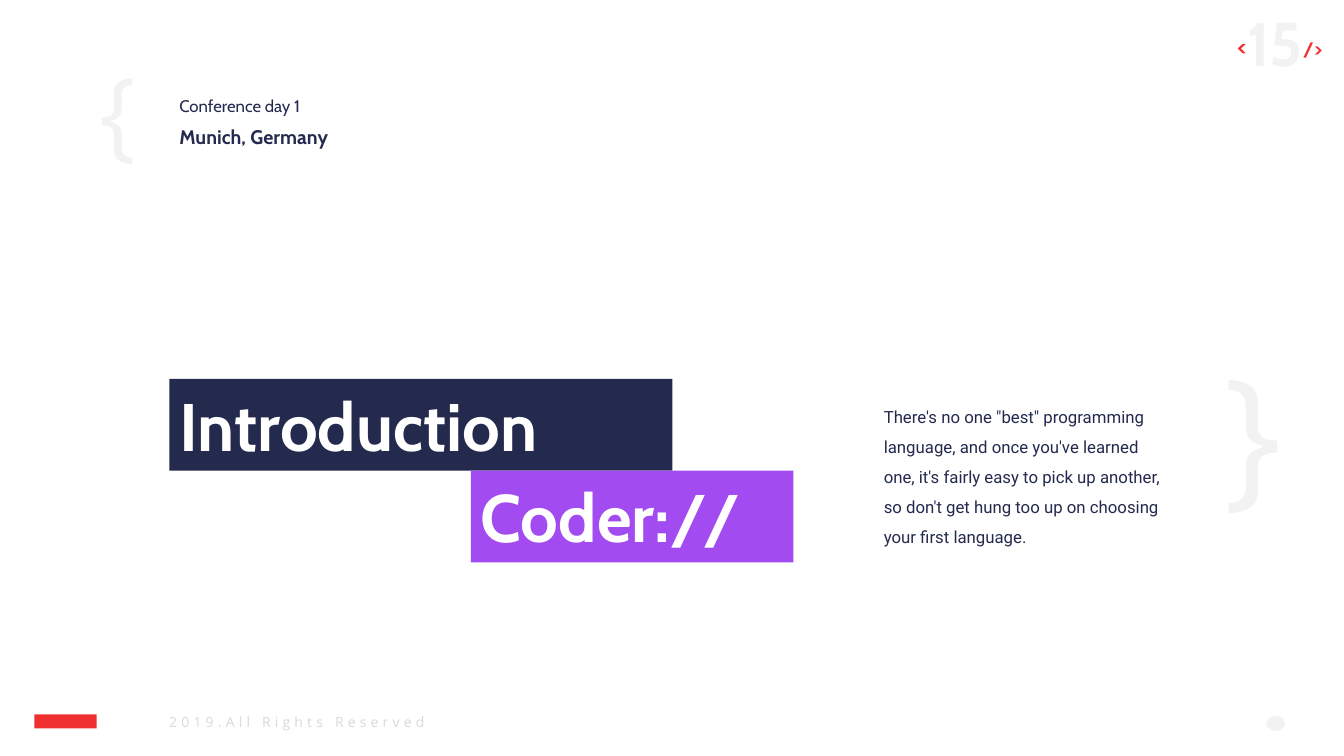
from dataclasses import dataclass

from pptx import Presentation
from pptx.dml.color import RGBColor
from pptx.enum import shapes, text
from pptx.util import Pt


@dataclass(frozen=True)
class Theme:
    navy: str = "232A4E"
    purple: str = "A24BF0"
    red: str = "F03030"
    white: str = "FFFFFF"
    pale: str = "F2F2F2"
    grey: str = "D9D9D9"
    heading: str = "Cabin"
    body: str = "Roboto"
    footer: str = "Open Sans"
    title_size: int = 48
    number_size: int = 44
    open_size: int = 28
    close_size: int = 24
    place_size: int = 14
    text_size: int = 12
    small_size: int = 10


THEME = Theme()

# Upper half of a right-hand brace on a 48 x 132 grid, as runs of
# straight points (2 numbers) and cubic curves (6 numbers)
BRACE_SIZE = (48, 132)
BRACE_HALF = [
    (48, 60), (41, 60, 37, 59, 34, 57), (31, 55, 29, 51, 29, 46),
    (29, 24), (29, 16, 27, 10, 22, 6), (16, 2, 9, 0, 0, 0),
    (0, 10), (11, 10, 17, 15, 17, 25), (17, 46), (17, 57, 23, 63, 34, 65),
]
CURVE_STEPS = 8


def brace_outline():
    """Flatten the upper half, then mirror it for the lower half."""
    points = []
    for segment in BRACE_HALF:
        if len(segment) == 2:
            points.append(segment)
            continue
        controls = [points[-1], segment[:2], segment[2:4], segment[4:]]
        for step in range(1, CURVE_STEPS + 1):
            t = step / CURVE_STEPS
            weights = ((1 - t) ** 3, 3 * t * (1 - t) ** 2,
                       3 * t ** 2 * (1 - t), t ** 3)
            points.append(tuple(sum(w * c[axis] for w, c in zip(weights, controls))
                                for axis in (0, 1)))
    return points + [(x, BRACE_SIZE[1] - y) for x, y in reversed(points)]


def paint(shape, color):
    shape.shadow.inherit = False
    shape.fill.solid()
    shape.fill.fore_color.rgb = RGBColor.from_string(color)
    shape.line.fill.background()


def write(shape, spans, align=text.PP_ALIGN.LEFT, spacing=1.0,
          anchor=text.MSO_ANCHOR.TOP, wrap=True):
    """Fill a shape with one paragraph of (words, format values) spans."""
    frame = shape.text_frame
    for name, value in {"auto_size": text.MSO_AUTO_SIZE.NONE, "word_wrap": wrap,
                        "vertical_anchor": anchor}.items():
        setattr(frame, name, value)
    para = frame.paragraphs[0]
    for name, value in {"alignment": align, "line_spacing": spacing,
                        "space_before": Pt(0)}.items():
        setattr(para, name, value)
    for words, look in spans:
        span = para.add_run()
        span.text = words
        values = {"name": look.get("font", THEME.heading), "size": Pt(look["size"]),
                  "bold": look.get("bold", False)}
        for name, value in values.items():
            setattr(span.font, name, value)
        span.font.color.rgb = RGBColor.from_string(look["color"])
        # Baseline shift and letter spacing live on the run properties
        for name in ("baseline", "spc"):
            if name in look:
                span.font._element.set(name, str(look[name]))


def add_text(page, box, spans, **layout):
    write(page.shapes.add_textbox(*map(Pt, box)), spans, **layout)


def add_block(page, kind, box, color):
    block = page.shapes.add_shape(kind, *map(Pt, box))
    paint(block, color)
    return block


def add_brace(page, box, mirrored=False):
    left, top, width, height = box
    corners = []
    for x, y in brace_outline():
        across = x / BRACE_SIZE[0]
        across = 1 - across if mirrored else across
        corners.append((Pt(left + across * width),
                        Pt(top + y / BRACE_SIZE[1] * height)))
    builder = page.shapes.build_freeform(*corners[0])
    builder.add_line_segments(corners[1:], close=True)
    paint(builder.convert_to_shape(), THEME.pale)


def add_page_number(page, box):
    tag = {"color": THEME.red, "bold": True, "baseline": 30000}
    number = {"size": THEME.number_size, "color": THEME.pale, "bold": True}
    add_text(page, box,
             [("<", {**tag, "size": THEME.open_size}), ("15", number),
              ("/>", {**tag, "size": THEME.close_size})],
             align=text.PP_ALIGN.RIGHT, anchor=text.MSO_ANCHOR.MIDDLE)


def add_event(page, box):
    left, top, width, height = box
    day_height = 21
    add_brace(page, (left - 48.2, top - 8.6, 21.8, 61), mirrored=True)
    day = {"size": THEME.text_size, "color": THEME.navy}
    place = {"size": THEME.place_size, "color": THEME.navy, "bold": True}
    add_text(page, (left, top, width, day_height), [("Conference day 1", day)])
    add_text(page, (left, top + day_height, width, height - day_height),
             [("Munich, Germany", place)])


def add_title(page, box):
    left, top, width, height = box
    band = height / 2
    look = {"size": THEME.title_size, "color": THEME.white, "bold": True}
    title = page.shapes.title
    for name, value in zip(("left", "top", "width", "height"),
                           (left, top, 359.3, band)):
        setattr(title, name, Pt(value))
    paint(title, THEME.navy)
    write(title, [("Introduction", look)])
    indent = 215.3
    second = add_block(page, shapes.MSO_SHAPE.RECTANGLE,
                       (left + indent, top + band, width - indent, band),
                       THEME.purple)
    write(second, [("Coder://", look)])


def add_message(page, box):
    left, top, width, height = box
    look = {"size": THEME.text_size, "color": THEME.navy, "font": THEME.body}
    add_text(page, box, [(
        "There's no one \"best\" programming language, and once you've learned "
        "one, it's fairly easy to pick up another, so don't get hung too up on "
        "choosing your first language.", look)], spacing=1.5)
    add_brace(page, (left + 253.4, top - 7.9, 34.6, 95))


def add_footer(page, box):
    left, top, width, height = box
    add_block(page, shapes.MSO_SHAPE.RECTANGLE,
              (left + 7.2, top + 6.2, 44.6, 10), THEME.red)
    add_text(page, (left + 96.5, top + 2, 198.7, height - 2),
             [("2019.All Rights Reserved",
               {"size": THEME.small_size, "color": THEME.grey,
                "font": THEME.footer, "spc": 300})], wrap=False)
    dot_width, dot_height = 13.4, 11
    add_block(page, shapes.MSO_SHAPE.OVAL,
              (left + width - dot_width, top + 7.2, dot_width, dot_height),
              THEME.pale)


def build_intro(deck):
    page = deck.slides.add_slide(deck.slide_layouts[5])
    # Frame of the page
    add_page_number(page, (768.2, 0, 183.6, 60.5))
    add_footer(page, (17.3, 504, 900.7, 21.6))
    # Content
    add_event(page, (121, 64.8, 190.8, 45.5))
    add_title(page, (121, 270.7, 445.7, 131))
    add_message(page, (624.2, 279.4, 215.3, 113.8))


def main():
    deck = Presentation()
    deck.slide_width, deck.slide_height = Pt(960), Pt(540)
    build_intro(deck)
    deck.save("out.pptx")


if __name__ == "__main__":
    main()
